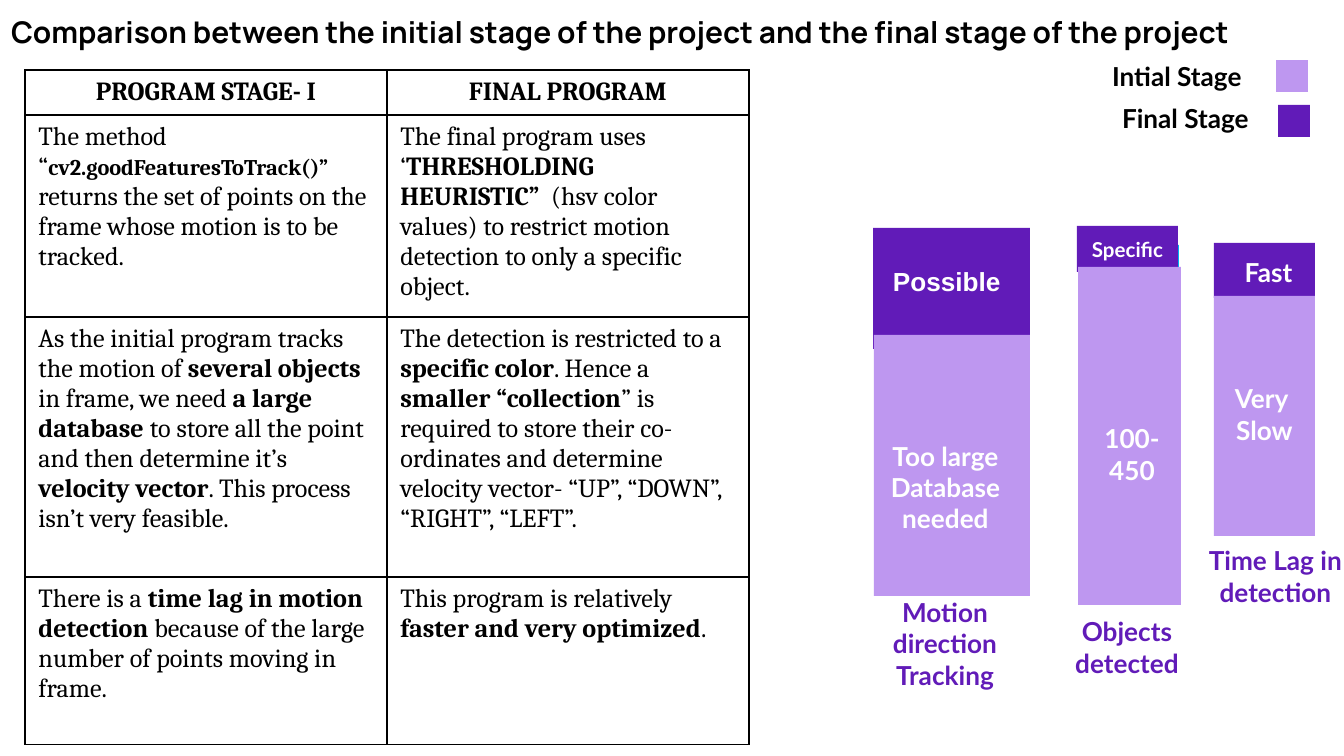
from lxml import etree
from pptx import Presentation
from pptx.dml.color import RGBColor
from pptx.enum.shapes import MSO_SHAPE
from pptx.enum.text import MSO_ANCHOR, MSO_AUTO_SIZE, PP_ALIGN
from pptx.oxml.ns import qn
from pptx.util import Emu, Pt

RECTANGLE = MSO_SHAPE.RECTANGLE
TOP, MIDDLE = MSO_ANCHOR.TOP, MSO_ANCHOR.MIDDLE
NO_AUTOFIT = MSO_AUTO_SIZE.NONE
LEFT, CENTER = PP_ALIGN.LEFT, PP_ALIGN.CENTER

EMU_PER_PX = 914400 / 134.4
INSET = 13
COLORS = {
    "black": "000000",
    "white": "FFFFFF",
    "initial": "BE97F0",
    "final": "611BB8",
    "edge": "00B0F0",
}
TITLE = "Comparison between the initial stage of the project and the final stage of the project"


def px(length):
    """Turn a length in px into EMU."""
    return Emu(round(length * EMU_PER_PX))


def rgb(name):
    """Look up a named colour."""
    return RGBColor.from_string(COLORS[name])


def plain(text):
    """Describe a regular run."""
    return text, False, 14


def bold(text, size=14):
    """Describe a bold run."""
    return text, True, size


def write(frame, paragraphs, font, color, align):
    """Fill a text frame with paragraphs of described runs."""
    for index, pieces in enumerate(paragraphs):
        paragraph = frame.add_paragraph() if index else frame.paragraphs[0]
        paragraph.alignment = align
        for text, is_bold, size in pieces:
            for line_index, line in enumerate(text.split("\n")):
                if line_index:
                    paragraph.add_line_break()
                run = paragraph.add_run()
                run.text = line
                run.font.name = font
                run.font.size = Pt(size)
                run.font.bold = is_bold
                run.font.color.rgb = rgb(color)


def set_frame(frame, anchor):
    """Give a text frame its wrapping, anchor and insets."""
    frame.word_wrap = True
    frame.auto_size = NO_AUTOFIT
    frame.vertical_anchor = anchor
    frame.margin_left = frame.margin_right = px(INSET)
    frame.margin_top = frame.margin_bottom = px(INSET)


def add_title(slide, box):
    """Place and format the slide title."""
    title = slide.shapes.title
    title.left, title.top, title.width, title.height = map(px, box)
    set_frame(title.text_frame, TOP)
    write(title.text_frame, [[bold(TITLE, 16)]], "Manrope", "black", LEFT)


def add_block(slide, box, color):
    """Draw a plain rectangle."""
    block = slide.shapes.add_shape(RECTANGLE, *map(px, box))
    block.shadow.inherit = False
    block.fill.solid()
    block.fill.fore_color.rgb = rgb(color)
    block.line.fill.background()
    return block


def add_label(slide, box, paragraphs, color, align=CENTER, font="Lato"):
    """Add a bold label centred vertically in its box."""
    frame = slide.shapes.add_textbox(*map(px, box)).text_frame
    set_frame(frame, MIDDLE)
    write(frame, [[bold(text)] for text in paragraphs], font, color, align)


def add_borders(cell):
    """Draw thin black lines around a table cell."""
    properties = cell._tc.get_or_add_tcPr()
    for side in ("a:lnL", "a:lnR", "a:lnT", "a:lnB"):
        line = etree.SubElement(properties, qn(side), w=str(Pt(0.75)))
        fill = etree.SubElement(line, qn("a:solidFill"))
        etree.SubElement(fill, qn("a:srgbClr"), val=COLORS["black"])


def add_comparison(slide, left, top, column_width, row_heights, rows):
    """Add the table that compares the two stages."""
    columns = len(rows[0])
    box = left, top, column_width * columns, sum(row_heights)
    table = slide.shapes.add_table(len(rows), columns, *map(px, box)).table
    table.first_row = table.horz_banding = False
    for column in table.columns:
        column.width = px(column_width)
    for r, (height, contents) in enumerate(zip(row_heights, rows)):
        table.rows[r].height = px(height)
        for c, paragraphs in enumerate(contents):
            cell = table.cell(r, c)
            add_borders(cell)
            cell.fill.solid()
            cell.fill.fore_color.rgb = rgb("white")
            align = LEFT if r else CENTER
            write(cell.text_frame, paragraphs, "Cambria", "black", align)


def add_legend(slide):
    """Add the key to the two stage colours."""
    add_label(slide, (1099, 63, 161, 27), ["Intial Stage"], "black", LEFT)
    add_block(slide, (1276, 60, 32, 32), "initial")
    add_label(slide, (1109, 105, 164, 27), ["Final Stage"], "black", LEFT)
    add_block(slide, (1278, 105, 32, 32), "final")


def add_bars(slide):
    """Add the three stacked bars with their labels."""
    add_block(slide, (873, 228, 157, 121), "final")
    add_block(slide, (874, 335, 156, 261), "initial")
    add_label(slide, (880, 258, 263, 46), ["Possible"], "white", LEFT, "Arial")
    add_label(slide, (867, 431, 157, 112), ["Too large Database needed"], "white")
    add_label(slide, (843, 638, 204, 11), ["Motion", "direction Tracking"], "final")

    add_block(slide, (1078, 245, 101, 44), "edge")
    specific = add_block(slide, (1077, 226, 101, 46), "final")
    set_frame(specific.text_frame, MIDDLE)
    write(specific.text_frame, [[bold("Specific", 11)]], "Lato", "white", CENTER)
    add_block(slide, (1078, 267, 103, 338), "initial")
    add_label(slide, (1070, 431, 124, 46), ["100-450"], "white")
    add_label(slide, (1047, 624, 160, 46), ["Objects detected"], "final")

    add_block(slide, (1214, 243, 101, 55), "final")
    add_block(slide, (1214, 296, 101, 240), "initial")
    add_label(slide, (1218, 249, 101, 46), ["Fast"], "white")
    add_label(slide, (1214, 391, 101, 46), ["Very \nSlow"], "white")
    add_label(slide, (1193, 543, 165, 66), ["Time Lag in detection"], "final")


def main():
    """Build the slide and save it."""
    deck = Presentation()
    deck.slide_width, deck.slide_height = px(1344), px(756)
    slide = deck.slides.add_slide(deck.slide_layouts[5])
    rows = [
        ([[bold("PROGRAM STAGE- I")]], [[bold("FINAL PROGRAM")]]),
        ([[plain("The method \n“"), bold("cv2.goodFeaturesToTrack()”", 12)],
          [plain("returns the set of points on the frame whose motion is to be tracked.")]],
         [[plain("The final program uses ‘"), bold("THRESHOLDING HEURISTIC”"),
           plain("  (hsv color values) to restrict motion detection to only a specific object.")]]),
        ([[plain("As the initial program tracks the motion of "), bold("several objects "),
           plain("in frame, we need "), bold("a large database "),
           plain("to store all the point and then determine it’s "),
           bold("velocity vector"), plain(". This process isn’t very feasible.")]],
         [[plain("The detection is restricted to a "), bold("specific color"),
           plain(". Hence a"), bold(" smaller “collection"),
           plain("” is required to store their co-ordinates and determine "
                 "velocity vector- “UP”, “DOWN”, “RIGHT”, “LEFT”.")]]),
        ([[plain("There is a "), bold("time lag in motion detection "),
           plain("because of the large number of points moving in frame.")]],
         [[plain("This program is relatively "), bold("faster and very optimized"), plain(".")]]),
    ]
    add_title(slide, (-2, 1, 1253, 85))
    add_legend(slide)
    add_bars(slide)
    add_comparison(slide, 25, 70, 362, (45, 202, 260, 168), rows)
    deck.save("out.pptx")


if __name__ == "__main__":
    main()
